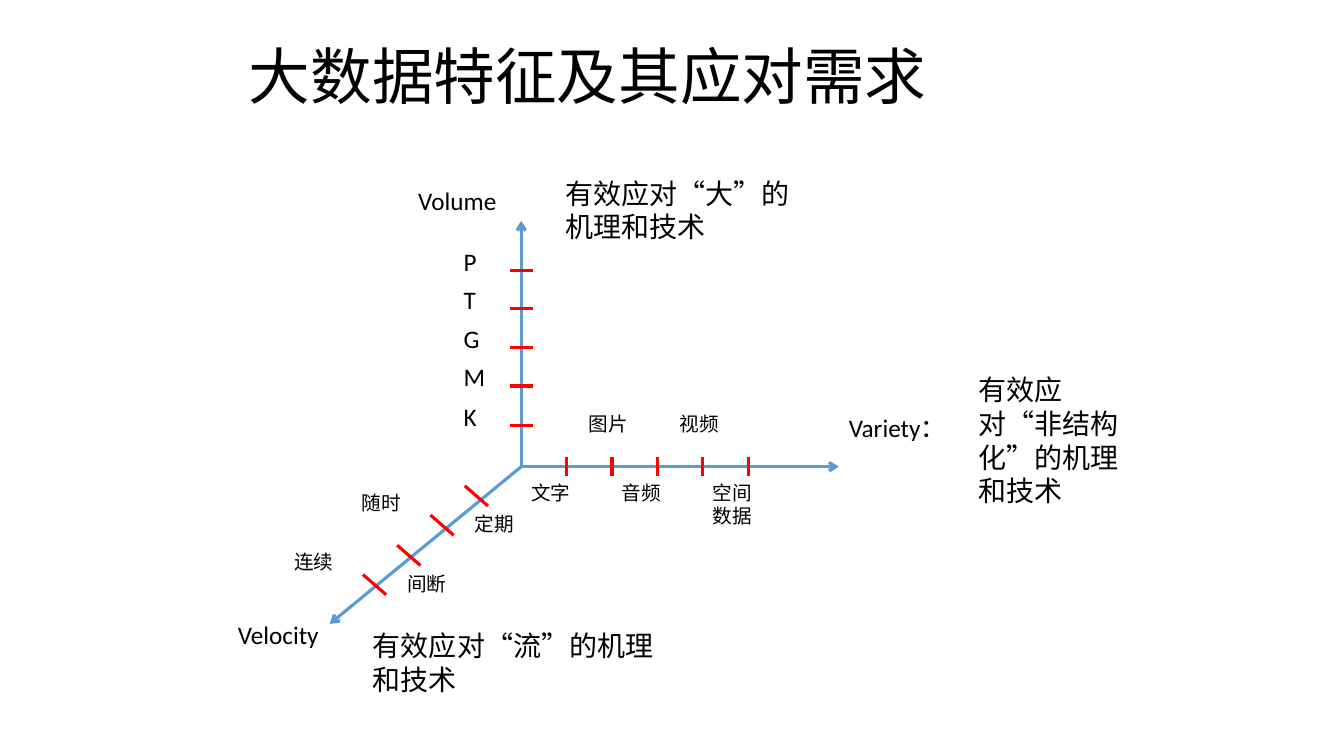
import collections

import pptx
import pptx.dml.color
import pptx.enum.shapes
import pptx.enum.text
import pptx.oxml.ns
import pptx.util
from lxml import etree

PX = 9144  # 100 px to the inch
COLORS = {"text": "000000", "axis": "5B9BD5", "tick": "FF0000"}
FONT = "Calibri"
Box = collections.namedtuple("Box", "left top width height")


def add_text(page, box, text, size, wrap=True):
    shape = page.shapes.add_textbox(*(value * PX for value in box))
    frame = shape.text_frame
    frame.word_wrap = wrap
    frame.text = text
    for para in frame.paragraphs:
        for span in para.runs:
            span.font.size = pptx.util.Pt(size)
            span.font.name = FONT
            span.font.color.rgb = pptx.dml.color.RGBColor.from_string(COLORS["text"])
    return frame


def add_line(page, start, end, color, arrow=False):
    line = page.shapes.add_connector(
        pptx.enum.shapes.MSO_CONNECTOR.STRAIGHT,
        *(value * PX for value in (*start, *end)))
    line.line.color.rgb = pptx.dml.color.RGBColor.from_string(COLORS[color])
    line.line.width = pptx.util.Pt(2.25)
    if arrow:
        etree.SubElement(line.line._get_or_add_ln(),
                         pptx.oxml.ns.qn("a:tailEnd"), type="arrow")
    etree.SubElement(line._element.spPr, pptx.oxml.ns.qn("a:effectLst"))


def add_title(page, box):
    frame = add_text(page, box, "大数据特征及其应对需求", 44)
    frame.vertical_anchor = pptx.enum.text.MSO_ANCHOR.MIDDLE
    frame.paragraphs[0].line_spacing = 0.9


def add_volume_axis(page, box):
    """Vertical axis, rising along the left edge of the box."""
    left, top, width, height = box
    bottom = top + height
    add_line(page, (left, bottom), (left, top), "axis", arrow=True)
    add_text(page, Box(left - 112, top - 40, 146, 40), "Volume", 18)
    for index, label in enumerate("KMGTP"):
        y = bottom - 41 - round(38.6 * index)
        add_line(page, (left - 11, y), (left + 12, y), "tick")
        add_text(page, Box(left - 67, y - 29, 36, 40), label, 18, wrap=False)
    add_text(page, Box(left + 34, top - 49, width, 77), "有效应对“大”的机理和技术", 20)


def add_variety_axis(page, box):
    """Horizontal axis along the top edge of the box."""
    left, top, width, height = box
    right = left + width
    add_line(page, (left, top), (right, top), "axis", arrow=True)
    labels = ["文字", "图片", "音频", "视频", "空间\n数据"]
    for index, label in enumerate(labels):
        x = left + 45 * (index + 1)
        add_line(page, (x, top - 10), (x, top + 9), "tick")
        shift, drop = (-33, -59) if index % 2 else (-45, 9)
        label_height = 34 + 23 * label.count("\n")
        add_text(page, Box(x + shift, top + drop, 59, label_height), label, 14, wrap=False)
    add_text(page, Box(right, top - 59, 168, 40), "Variety：", 18)
    add_text(page, Box(right + 129, top - 98, 163, height), "有效应对“非结构化”的机理和技术", 20)


def add_velocity_axis(page, box):
    """Diagonal axis, from the top right to the bottom left of the box."""
    left, top, width, height = box
    right, bottom = left + width, top + height
    add_line(page, (right, top), (left, bottom), "axis", arrow=True)
    for index, label in enumerate(["定期", "随时", "间断", "连续"]):
        x = right - 56 - round(33.67 * index)
        y = top + 19 + round(29.33 * index)
        add_line(page, (x, y), (x + 23, y + 20), "tick")
        shift, drop = (-78, -29) if index % 2 else (0, 21)
        add_text(page, Box(x + shift, y + drop, 90, 34), label, 14)
    add_text(page, Box(left - 101, bottom - 10, 168, 40), "Velocity", 18)
    add_text(page, Box(left + 33, bottom, 325, 77), "有效应对“流”的机理和技术", 20)


def main():
    deck = pptx.Presentation()
    deck.slide_width, deck.slide_height = 1333 * PX, 750 * PX
    page = deck.slides.add_slide(deck.slide_layouts[6])
    add_title(page, Box(237, 16, 900, 125))
    # The three axes share the origin at (517, 463)
    add_volume_axis(page, Box(517, 219, 247, 244))
    add_variety_axis(page, Box(517, 463, 315, 145))
    add_velocity_axis(page, Box(327, 463, 190, 156))
    deck.save("out.pptx")


if __name__ == "__main__":
    main()
